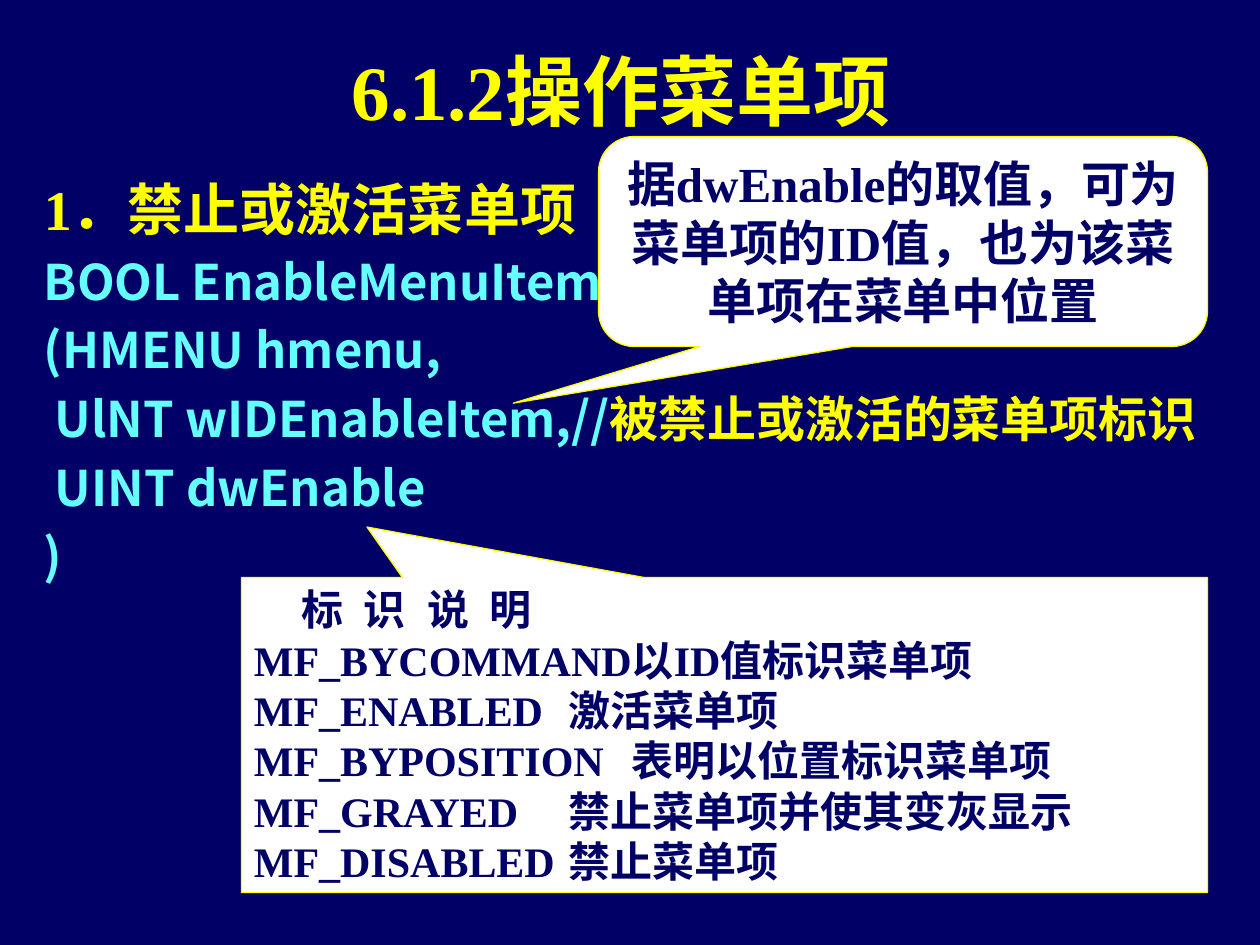
from dataclasses import dataclass

from pptx import Presentation
from pptx import util as u
from pptx.dml.color import RGBColor
from pptx.enum import shapes, text
from pptx.oxml.ns import qn
from lxml import etree


@dataclass(frozen=True)
class Theme:
    navy: str = "000066"
    yellow: str = "FFFF00"
    cyan: str = "66FFFF"
    white: str = "FFFFFF"
    serif: str = "Times New Roman"
    sans: str = "Noto Sans CJK SC"
    title_size: int = 44
    heading_size: int = 32
    code_size: int = 28
    flag_size: int = 24


THEME = Theme()


@dataclass(frozen=True)
class Span:
    wording: str
    size: int
    color: str
    face: str = THEME.serif
    tracking: int = 0


@dataclass(frozen=True)
class Box:
    left: float
    top: float
    width: float
    height: float


@dataclass(frozen=True)
class Callout:
    kind: shapes.MSO_SHAPE
    box: Box
    adjustments: tuple[float, ...]
    anchor: text.MSO_ANCHOR


def place(shape, box: Box) -> None:
    shape.left, shape.top = u.Pt(box.left), u.Pt(box.top)
    shape.width, shape.height = u.Pt(box.width), u.Pt(box.height)


def add_spans(paragraph, spans: list[Span]) -> None:
    for span in spans:
        run = paragraph.add_run()
        run.text = span.wording
        run.font.size = u.Pt(span.size)
        run.font.bold = True
        run.font.name = span.face
        run.font.color.rgb = RGBColor.from_string(span.color)
        properties = run.font._element
        etree.SubElement(properties, qn("a:ea")).set("typeface", THEME.sans)
        if span.tracking:
            properties.set("spc", str(span.tracking))


def add_lines(frame, lines: list[list[Span]], alignment, gap: float = 0) -> list:
    paragraphs = []
    for index, spans in enumerate(lines):
        paragraph = frame.add_paragraph() if index else frame.paragraphs[0]
        paragraph.alignment = alignment
        if index and gap:
            paragraph.space_before = u.Pt(gap)
        add_spans(paragraph, spans)
        paragraphs.append(paragraph)
    return paragraphs


def set_columns(paragraph, indent: float, stop: float) -> None:
    properties = paragraph._p.get_or_add_pPr()
    properties.set("marL", str(u.Pt(indent)))
    properties.set("indent", "0")
    tabs = etree.SubElement(properties, qn("a:tabLst"))
    etree.SubElement(tabs, qn("a:tab"), pos=str(u.Pt(stop)), algn="l")


def add_callout(slide, callout: Callout):
    box = callout.box
    shape = slide.shapes.add_shape(
        callout.kind, u.Pt(box.left), u.Pt(box.top), u.Pt(box.width), u.Pt(box.height)
    )
    for index, value in enumerate(callout.adjustments):
        shape.adjustments[index] = value
    shape.shadow.inherit = False
    shape.fill.solid()
    shape.fill.fore_color.rgb = RGBColor.from_string(THEME.white)
    shape.line.color.rgb = RGBColor.from_string(THEME.yellow)
    shape.line.width = u.Pt(0.75)
    shape.text_frame.word_wrap = True
    shape.text_frame.vertical_anchor = callout.anchor
    return shape.text_frame


def add_title(slide) -> None:
    title = slide.shapes.title
    place(title, Box(54, 18, 612, 66))
    frame = title.text_frame
    frame.auto_size = text.MSO_AUTO_SIZE.NONE
    frame.vertical_anchor = text.MSO_ANCHOR.MIDDLE
    size, color = THEME.title_size, THEME.yellow
    spans = [Span("6.1.2", size, color), Span("操作菜单项 ", size, color, THEME.sans)]
    add_lines(frame, [spans], text.PP_ALIGN.CENTER)


def code(wording: str) -> Span:
    return Span(wording, THEME.code_size, THEME.cyan, THEME.sans)


def add_declaration(slide) -> None:
    declaration = slide.shapes.add_textbox(0, 0, 0, 0)
    place(declaration, Box(18, 96, 690, 258))
    declaration.text_frame.word_wrap = True
    lines = [
        [
            Span("1", THEME.heading_size, THEME.yellow),
            Span("．禁止或激活菜单项", THEME.heading_size, THEME.yellow, THEME.sans),
        ],
        [code("BOOL EnableMenuItem")],
        [code("(HMENU hmenu,")],
        [
            code(" UlNT wIDEnableItem,//"),
            Span("被禁止或激活的菜单项标识", THEME.code_size, THEME.yellow),
        ],
        [code(" UINT dwEnable")],
        [code(")")],
    ]
    add_lines(declaration.text_frame, lines, text.PP_ALIGN.LEFT, gap=5.6)


def add_item_note(slide) -> None:
    note = add_callout(slide, Callout(
        shapes.MSO_SHAPE.ROUNDED_RECTANGULAR_CALLOUT,
        Box(342, 78, 348, 120), (-0.64, 0.77, 0.17), text.MSO_ANCHOR.MIDDLE,
    ))
    wording = "据dwEnable的取值，可为菜单项的ID值，也为该菜单项在菜单中位置"
    add_lines(note, [[Span(wording, THEME.code_size, THEME.navy)]], text.PP_ALIGN.CENTER)


def add_flag_list(slide) -> None:
    flags = add_callout(slide, Callout(
        shapes.MSO_SHAPE.RECTANGULAR_CALLOUT,
        Box(138, 330, 552, 180), (-0.37, -0.66), text.MSO_ANCHOR.TOP,
    ))
    size, color = THEME.flag_size, THEME.navy
    meanings = [
        "MF_BYCOMMAND以ID值标识菜单项",
        "MF_ENABLED\t激活菜单项",
        "MF_BYPOSITION\t表明以位置标识菜单项",
        "MF_GRAYED\t禁止菜单项并使其变灰显示",
        "MF_DISABLED\t禁止菜单项",
    ]
    lines = [[Span("标 识\t说 明", size, color, tracking=300)]]
    lines += [[Span(meaning, size, color)] for meaning in meanings]
    header, *rows = add_lines(flags, lines, text.PP_ALIGN.LEFT)
    set_columns(header, 27, 288)
    for row in rows:
        set_columns(row, 0, 216)


def main() -> None:
    deck = Presentation()
    deck.slide_width, deck.slide_height = u.Pt(720), u.Pt(540)
    slide = deck.slides.add_slide(deck.slide_layouts.get_by_name("Title Only"))
    slide.background.fill.solid()
    slide.background.fill.fore_color.rgb = RGBColor.from_string(THEME.navy)
    add_title(slide)
    add_declaration(slide)
    add_item_note(slide)
    add_flag_list(slide)
    deck.save("out.pptx")


if __name__ == "__main__":
    main()
